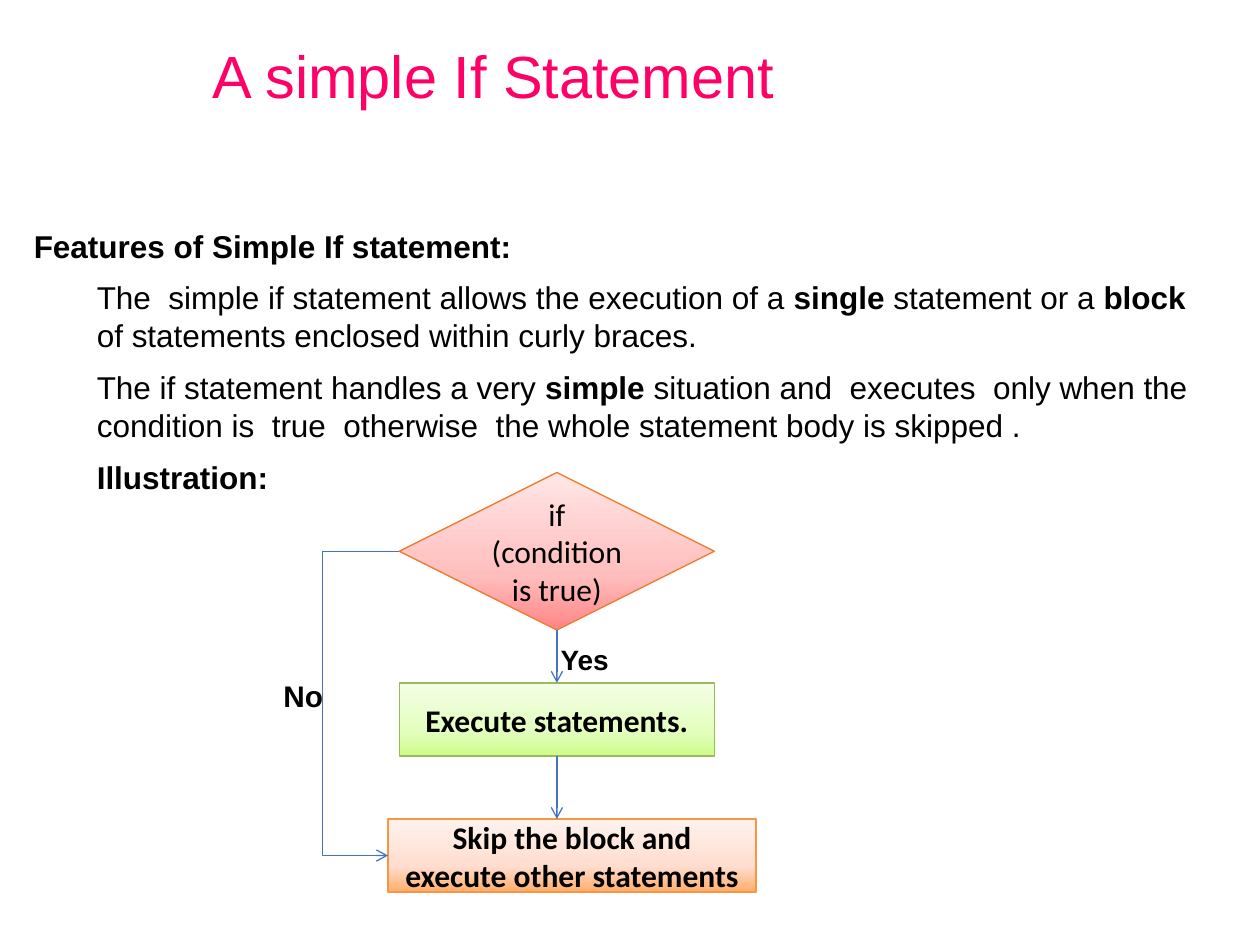
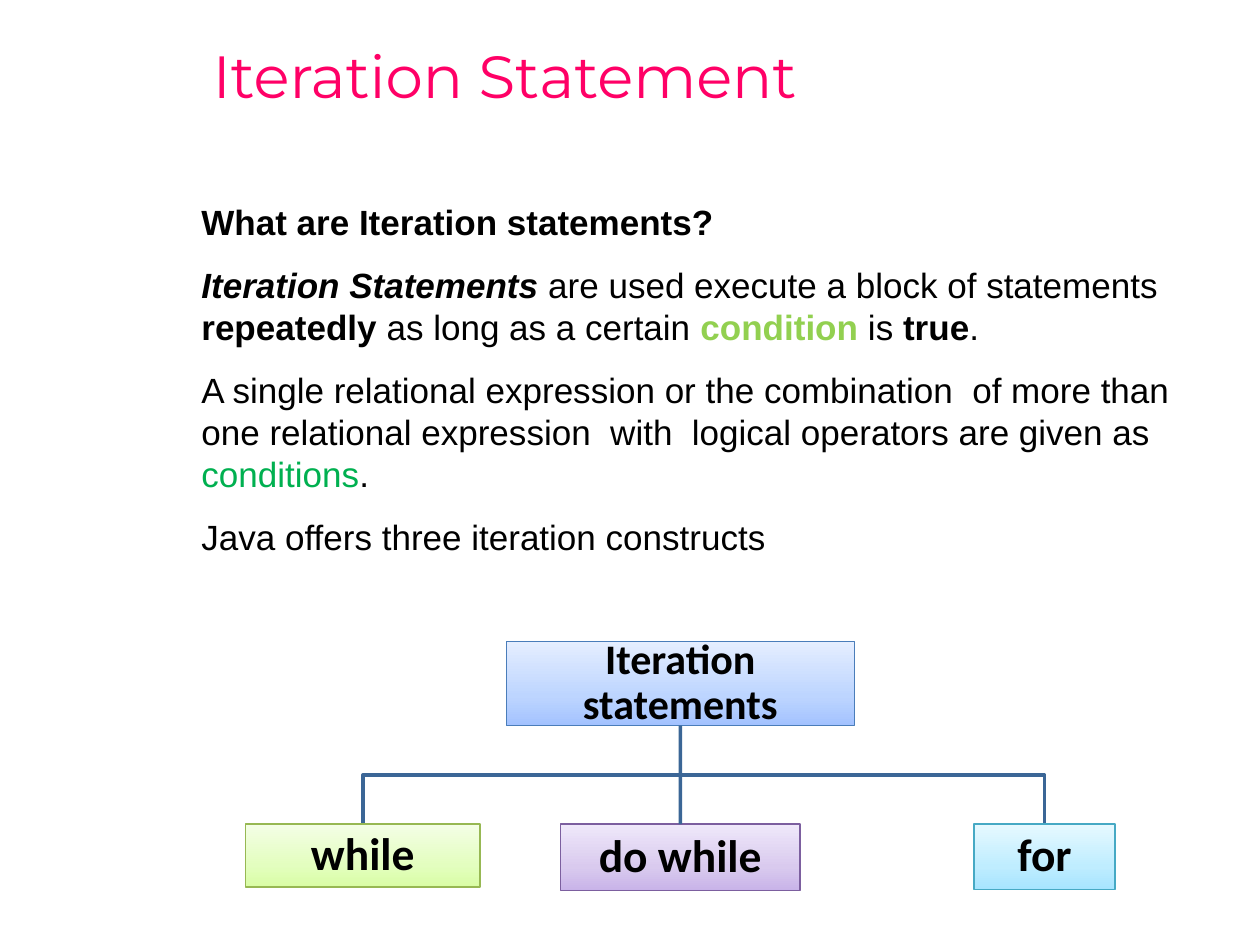
from copy import deepcopy

from lxml import etree
from pptx import Presentation
from pptx.dml.color import RGBColor
from pptx.enum.shapes import MSO_CONNECTOR, MSO_SHAPE
from pptx.enum.text import MSO_ANCHOR, PP_ALIGN
from pptx.oxml.ns import qn
from pptx.util import Inches, Pt

MID, TOP = MSO_ANCHOR.MIDDLE, MSO_ANCHOR.TOP
LEFT, CENTER = PP_ALIGN.LEFT, PP_ALIGN.CENTER
LINE, ELBOW = MSO_CONNECTOR.STRAIGHT, MSO_CONNECTOR.ELBOW
RECT = MSO_SHAPE.RECTANGLE
STEP = MSO_SHAPE.FLOWCHART_PROCESS
TEST = MSO_SHAPE.FLOWCHART_DECISION

PINK, BLACK, BLUE, NAVY = "FF0066", "000000", "4472C4", "3B6696"
LIME, GREEN = "92D050", "00B050"
BOLD = {"bold": True}


def color(code):
    return RGBColor.from_string(code)


class Deck:
    """Holds the shared style and the current slide."""

    def __init__(self):
        self.prs = Presentation()
        self.prs.slide_width, self.prs.slide_height = Inches(10), Inches(7.5)
        self.shapes = None

    def slide(self, title, face):
        page = self.prs.slides.add_slide(self.prs.slide_layouts[6])
        self.shapes = page.shapes
        self.text((1.59, 0.01, 8.41, 1.24), [[(title, {})]], 34, face,
                  ink=PINK, anchor=MID, line=0.9)

    def fill_text(self, frame, paras, size, face="Arial", ink=BLACK, anchor=TOP,
                  align=LEFT, line=None, gap=0, inset=None, dents=None):
        """Fill a frame; each paragraph is a list of (text, format) runs."""
        frame.word_wrap = True
        frame.vertical_anchor = anchor
        if inset is not None:
            for side in ("left", "top", "right", "bottom"):
                setattr(frame, "margin_" + side, Inches(inset))
        for i, runs in enumerate(paras):
            para = frame.add_paragraph() if i else frame.paragraphs[0]
            para.alignment = align
            if line:
                para.line_spacing = line
            if i and gap:
                para.space_before = Pt(gap)
            if dents:
                props = para._p.get_or_add_pPr()
                props.set("marL", str(Inches(dents[i])))
                props.set("indent", "0")
            for words, style in runs:
                run = para.add_run()
                run.text = words
                look = {"name": face, "size": Pt(size), "ink": ink, **style}
                run.font.color.rgb = color(look.pop("ink"))
                for key, value in look.items():
                    setattr(run.font, key, value)

    def text(self, at, paras, size, face="Arial", **style):
        box = self.shapes.add_textbox(*map(Inches, at))
        self.fill_text(box.text_frame, paras, size, face, **style)

    def label(self, at, words, size):
        box = self.shapes.add_textbox(*map(Inches, at))
        self.fill_text(box.text_frame, [[(words, BOLD)]], size)
        box.text_frame.word_wrap = False

    def node(self, kind, at, words, stops, edge, size=18, bold=True, **style):
        """Add a shape with an upward three-stop gradient and centred text."""
        box = self.shapes.add_shape(kind, *map(Inches, at))
        box.shadow.inherit = False
        box.fill.gradient()
        box.fill.gradient_angle = 90
        stop = box._element.spPr.find(".//" + qn("a:gs"))
        stop.addnext(deepcopy(stop))
        places = (0, 0.35, 1)
        for mark, place, code in zip(box.fill.gradient_stops, places, stops):
            mark.position = place
            mark.color.rgb = color(code)
        box.line.color.rgb = color(edge)
        box.line.width = Pt(0.75)
        self.fill_text(box.text_frame, [[(words, {"bold": bold})]], size,
                       "Calibri", anchor=MID, align=CENTER, **style)
        return box

    def link(self, start, end, ink=BLUE, width=0.75, kind=LINE, head=True,
             first=None, last=None):
        """Draw a connector; first and last are (shape, side) joints."""
        wire = self.shapes.add_connector(kind, *map(Inches, start + end))
        if first:
            wire.begin_connect(*first)
        if last:
            wire.end_connect(*last)
        wire.line.color.rgb = color(ink)
        wire.line.width = Pt(width)
        if head:
            edge = wire._element.spPr.find(qn("a:ln"))
            etree.SubElement(edge, qn("a:tailEnd")).set("type", "arrow")
        etree.SubElement(wire._element.spPr, qn("a:effectLst"))
        return wire

    def bend(self, wire, ratio):
        """Place the middle leg of an elbow, as a share of its width."""
        geom = wire._element.spPr.find(qn("a:prstGeom"))
        guides = geom.find(qn("a:avLst"))
        if guides is None:
            guides = etree.SubElement(geom, qn("a:avLst"))
        guide = etree.SubElement(guides, qn("a:gd"))
        guide.set("name", "adj1")
        guide.set("fmla", f"val {round(ratio * 100000)}")

    def branch(self, points, ink, width):
        spots = [(Inches(x), Inches(y)) for x, y in points]
        pen = self.shapes.build_freeform(*spots[0])
        pen.add_line_segments(spots[1:], close=False)
        fork = pen.convert_to_shape()
        fork.shadow.inherit = False
        fork.fill.background()
        fork.line.color.rgb = color(ink)
        fork.line.width = Pt(width)


def simple_if(deck):
    deck.slide("A simple If Statement", "Arial")
    deck.text((0.17, 1.75, 9.5, 4.33), [
        [("Features of Simple If statement:", BOLD)],
        [("The  simple if statement allows the execution of a ", {}),
         ("single", BOLD), (" statement or a ", {}), ("block", BOLD),
         (" of statements enclosed within curly braces.", {})],
        [("The if statement handles a very ", {}), ("simple", BOLD),
         (" situation and  executes  only when the condition is  true  "
          "otherwise  the whole statement body is skipped .", {})],
        [("Illustration:", BOLD)],
    ], 18, gap=8, dents=(0, 0.5, 0.5, 0.5))

    # Flowchart steps
    test = deck.node(TEST, (3.17, 3.75, 2.5, 1.25), "if (condition is true)",
                     ("FF8585", "FFBEBE", "FFE6E6"), "ED7D31", bold=False)
    body = deck.node(STEP, (3.17, 5.42, 2.5, 0.58), "Execute statements.",
                     ("CDFC88", "E3FEBF", "F4FEE6"), "9BBB59")
    skip = deck.node(STEP, (3.08, 6.5, 2.92, 0.58),
                     "Skip the block and execute other statements",
                     ("FFAD69", "FFDDCF", "FFF2ED"), "F79646")

    # Flow arrows and their labels
    deck.link((4.42, 5), (4.42, 5.42), first=(test, 2), last=(body, 0))
    deck.label((4.35, 5.05, 0.59, 0.37), "Yes", 16)
    detour = deck.link((3.17, 4.38), (3.08, 6.79), kind=ELBOW,
                       first=(test, 1), last=(skip, 1))
    deck.bend(detour, 0.61 / 0.09)
    deck.label((2.15, 5.33, 0.52, 0.39), "No", 17)
    deck.link((4.42, 6), (4.42, 6.5), first=(body, 2))


def iteration(deck):
    deck.slide("Iteration Statement", "Montserrat")
    deck.text((0.25, 1.54, 9.42, 3.1), [
        [("What are Iteration statements?", BOLD)],
        [("Iteration Statements", {"bold": True, "italic": True}),
         (" are used execute a block of statements ", {}),
         ("repeatedly", BOLD), (" as long as a certain ", {}),
         ("condition", {"bold": True, "ink": LIME}), (" is ", {}),
         ("true", BOLD), (".", {})],
        [("A single relational expression or the combination  of more than "
          "one relational expression  with  logical operators are given as ",
          {}), ("conditions", {"ink": GREEN}), (".", {})],
        [("Java offers three iteration constructs", {})],
    ], 20, gap=12, dents=[1.25] * 4)

    # Side branches of the tree
    hub, base, row = 5.4, 5.76, 6.54
    fork = (base + row) / 2
    for x in (2.88, 8.29):
        deck.branch([(hub, base), (hub, fork), (x, fork), (x, row)], NAVY, 2)

    # Root and loop kinds
    style = {"inset": 0.02, "line": 0.9}
    root = deck.node(RECT, (4.02, 5.09, 2.76, 0.67), "Iteration statements",
                     ("A3C2FF", "BDD5FF", "E5EEFF"), "4A7DBA", 24, **style)
    loops = [
        ("while", 1.95, 1.86, 0.5, ("D9FDA5", "E3FEBF", "F4FEE6"), "97B853"),
        ("do while", 4.45, 1.9, 0.53, ("C8B3E9", "D9CAEE", "EFE8FA"), "7C5F9F"),
        ("for", 7.73, 1.12, 0.52, ("A6E4FF", "BFEDFF", "E6F9FF"), "46A9C4"),
    ]
    kinds = {word: deck.node(RECT, (x, row, w, h), word, stops, edge, 26, **style)
             for word, x, w, h, stops, edge in loops}
    deck.link((hub, base), (hub, row), NAVY, 2, head=False,
              first=(root, 2), last=(kinds["do while"], 0))


def main():
    deck = Deck()
    simple_if(deck)
    iteration(deck)
    deck.prs.save("out.pptx")


if __name__ == "__main__":
    main()
